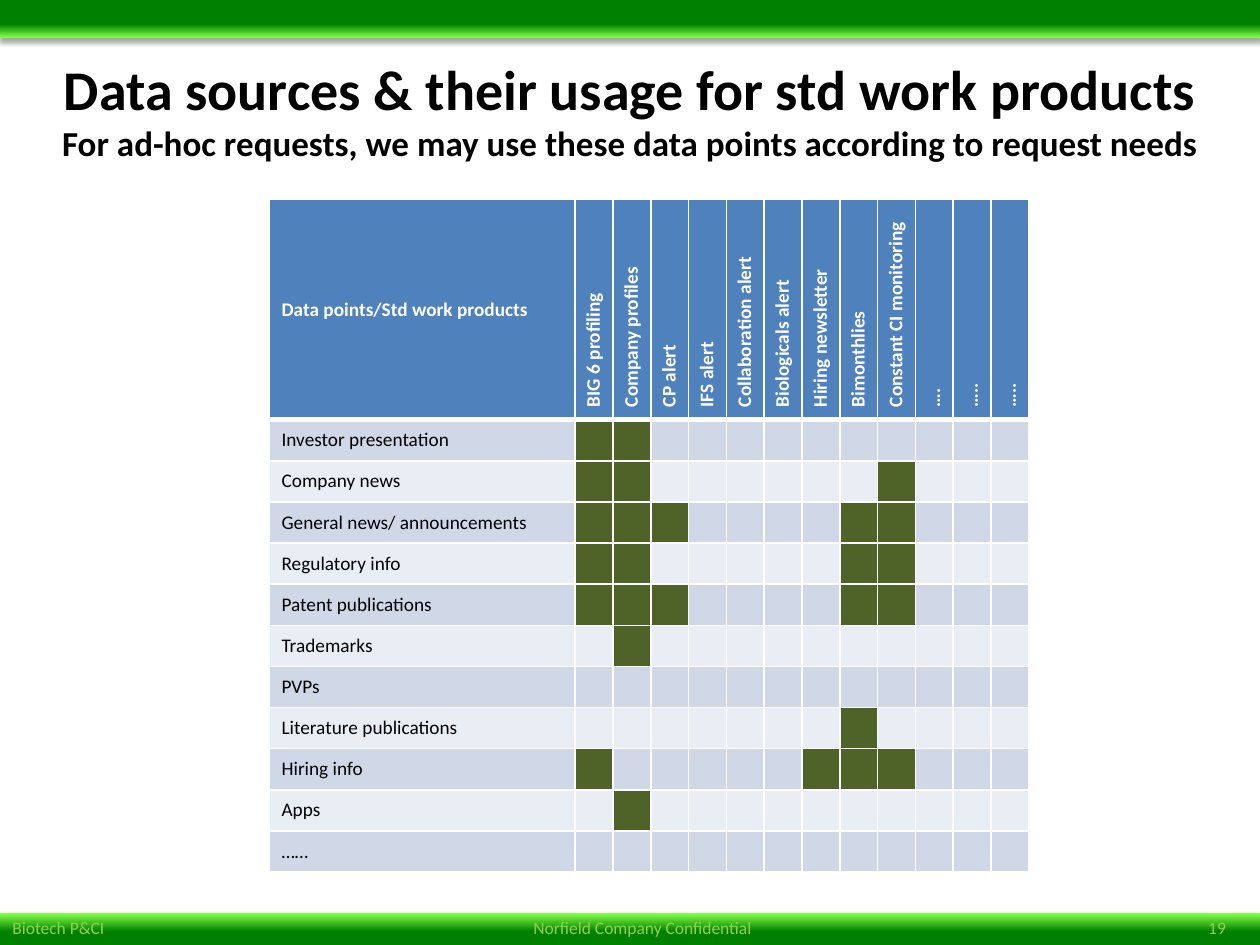
from lxml.etree import SubElement
from pptx import Presentation
from pptx.dml.color import RGBColor
from pptx.enum.text import MSO_ANCHOR as Anchor, MSO_AUTO_SIZE as AutoSize, PP_ALIGN as Align
from pptx.enum.shapes import MSO_SHAPE as Shape
from pptx.oxml.ns import qn
from pptx.util import Pt

COLORS = {
    "green": "008000", "lime": "84FF47", "footer": "92D050", "black": "000000",
    "white": "FFFFFF", "header": "4F81BD", "odd": "D0D8E8", "even": "E9EDF4",
    "used": "4F6228",
}
PRODUCTS = [
    "BIG 6 profiling", "Company profiles", "CP alert", "IFS alert",
    "Collaboration alert", "Biologicals alert", "Hiring newsletter", "Bimonthlies",
    "Constant CI monitoring", "….", "…..", "…..",
]
# Data point -> numbers of the work product columns that use it
USAGE = {
    "Investor presentation": {1, 2},
    "Company news": {1, 2, 9},
    "General news/ announcements": {1, 2, 3, 8, 9},
    "Regulatory info": {1, 2, 8, 9},
    "Patent publications": {1, 2, 3, 8, 9},
    "Trademarks": {2},
    "PVPs": set(),
    "Literature publications": {8},
    "Hiring info": {1, 7, 8, 9},
    "Apps": {2},
    "……": set(),
}
LABEL_WIDTH, PRODUCT_WIDTH = 175, 21.6
HEADER_HEIGHT, ROW_HEIGHT = 126, 23.5


def rgb(name):
    return RGBColor.from_string(COLORS[name])


def add_span(para, text, size=11, color="black", bold=False):
    span = para.add_run()
    span.text = text
    span.font.name = "Calibri"
    span.font.size = Pt(size)
    span.font.bold = bold
    span.font.color.rgb = rgb(color)


def add_color(parent, name):
    return SubElement(parent, qn("a:srgbClr"), val=COLORS[name])


class Page:
    """A slide with the style of the green banner theme."""

    def __init__(self, deck):
        self.slide = deck.slides.add_slide(deck.slide_layouts[5])
        self.shapes = self.slide.shapes

    def bar(self, top, height, solid_until, angle):
        bar = self.shapes.add_shape(Shape.RECTANGLE, 0, Pt(top), Pt(720), Pt(height))
        bar.line.fill.background()
        bar.fill.gradient()
        bar.fill.gradient_angle = angle
        stops = zip(bar.fill.gradient_stops, ("green", "lime"), (solid_until, 1))
        for stop, color, position in stops:
            stop.color.rgb = rgb(color)
            stop.position = position
        bar.shadow.inherit = False
        effects = bar._element.spPr.find(qn("a:effectLst"))
        shadow = SubElement(effects, qn("a:outerShdw"), blurRad=str(Pt(3.1)),
                            dist=str(Pt(1.8)), dir="5400000", rotWithShape="0")
        SubElement(add_color(shadow, "black"), qn("a:alpha"), val="35000")

    def footer(self, left, center, right):
        box = self.shapes.add_textbox(0, Pt(520.6), Pt(720), Pt(19.4))
        box.text_frame.word_wrap = True
        para = box.text_frame.paragraphs[0]
        tabs = SubElement(para._p.get_or_add_pPr(), qn("a:tabLst"))
        for position, align in ((360, "ctr"), (693.4, "r")):
            SubElement(tabs, qn("a:tab"), pos=str(Pt(position)), algn=align)
        add_span(para, "\t".join((left, center, right)), size=10, color="footer")

    def title(self, heading, subheading):
        title = self.shapes.title
        title.left, title.top, title.width, title.height = 0, Pt(22.3), Pt(720), Pt(80)
        frame = title.text_frame
        frame.word_wrap = True
        frame.auto_size = AutoSize.NONE
        frame.vertical_anchor = Anchor.MIDDLE
        para = frame.paragraphs[0]
        para.alignment = Align.CENTER
        add_span(para, heading, size=32, bold=True)
        para.add_line_break()
        add_span(para, subheading, size=20, bold=True)

    def cell(self, cell, text, fill, top=1, bottom=1, **span_format):
        props = cell._tc.get_or_add_tcPr()
        for side, width in (("L", 1), ("R", 1), ("T", top), ("B", bottom)):
            line = SubElement(props, qn(f"a:ln{side}"), w=str(Pt(width)))
            add_color(SubElement(line, qn("a:solidFill")), "white")
        cell.fill.solid()
        cell.fill.fore_color.rgb = rgb(fill)
        cell.vertical_anchor = Anchor.MIDDLE
        para = cell.text_frame.paragraphs[0]
        if text:
            add_span(para, text, **span_format)
        else:
            SubElement(para._p, qn("a:endParaRPr"), sz="1100")

    def usage_table(self, left, top, corner, products, usage):
        width = LABEL_WIDTH + PRODUCT_WIDTH * len(products)
        height = HEADER_HEIGHT + ROW_HEIGHT * len(usage)
        table = self.shapes.add_table(len(usage) + 1, len(products) + 1, Pt(left),
                                      Pt(top), Pt(width), Pt(height)).table
        table.horz_banding = False
        for index, column in enumerate(table.columns):
            column.width = Pt(PRODUCT_WIDTH if index else LABEL_WIDTH)
        for index, row in enumerate(table.rows):
            row.height = Pt(ROW_HEIGHT if index else HEADER_HEIGHT)

        for column, text in enumerate([corner, *products]):
            cell = table.cell(0, column)
            self.cell(cell, text, "header", bottom=3, color="white", bold=True)
            if column:
                cell._tc.tcPr.set("vert", "vert270")
        for row, (label, used) in enumerate(usage.items(), start=1):
            band = "odd" if row % 2 else "even"
            for column in range(len(products) + 1):
                self.cell(table.cell(row, column), "" if column else label,
                          "used" if column in used else band, top=3 if row == 1 else 1)


def main():
    deck = Presentation()
    deck.slide_width, deck.slide_height = Pt(720), Pt(540)
    page = Page(deck)
    page.bar(top=522, height=18.7, solid_until=0.45, angle=90)
    page.bar(top=0, height=21.6, solid_until=0.64, angle=270)
    page.footer("Biotech P&CI", "Norfield Company Confidential", "19")
    page.title("Data sources & their usage for std work products",
               "For ad-hoc requests, we may use these data points according to request needs")
    page.usage_table(153.7, 113.8, "Data points/Std work products", PRODUCTS, USAGE)
    deck.save("out.pptx")


if __name__ == "__main__":
    main()
